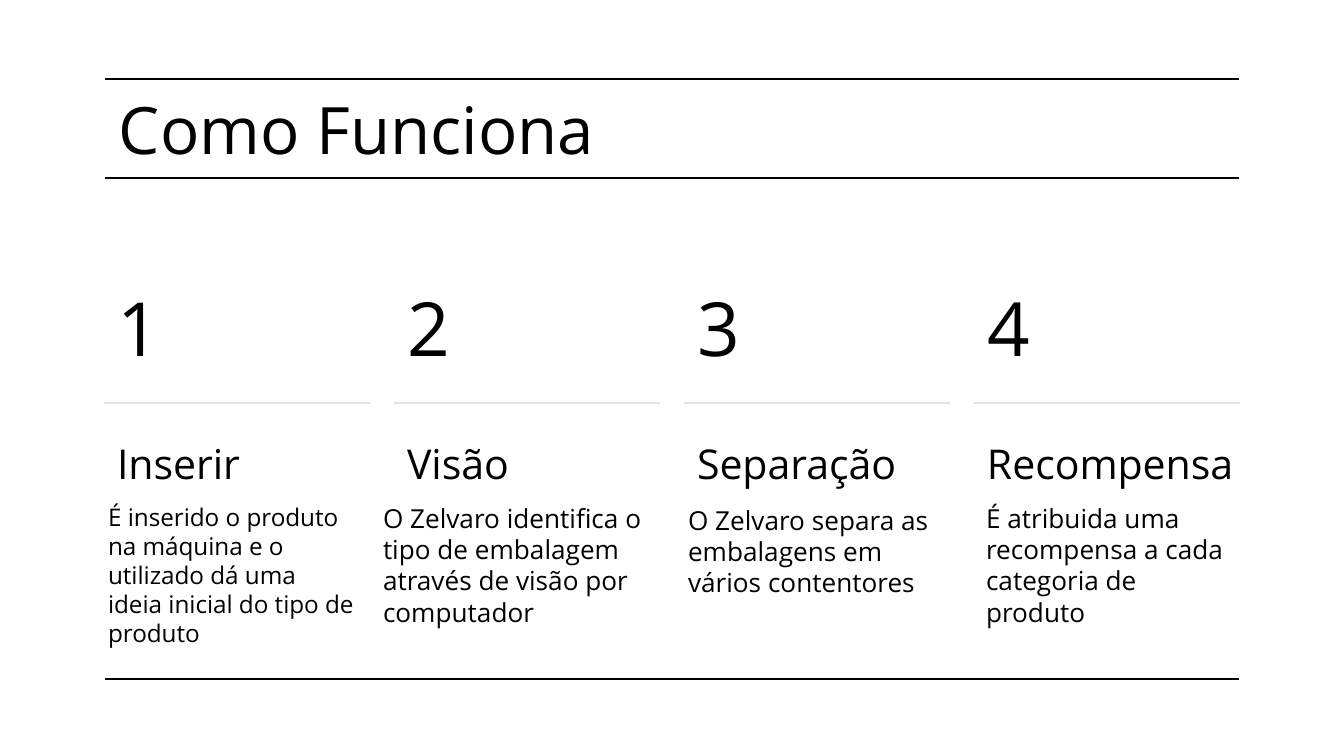
from lxml.etree import SubElement
from pptx import Presentation
from pptx.dml.color import RGBColor as RGB
from pptx.enum.shapes import MSO_CONNECTOR as Connector
from pptx.enum.text import MSO_ANCHOR as Anchor, MSO_AUTO_SIZE as AutoSize, PP_ALIGN as Align
from pptx.oxml.ns import qn
from pptx.util import Pt

PX = 6804  # EMU per px, 134.4 px to the inch

THEME = {
    "font": "Open Sans",
    "ink": RGB(0x00, 0x00, 0x00),
    "divider": RGB(0xE2, 0xE2, 0xE2),
    "rule_width": Pt(1.5),
    "title": Pt(35),
    "number": Pt(40),
    "heading": Pt(22),
    "body": Pt(14),
    "small_body": Pt(13),
}


def write(box, text, size, inset=0):
    """Fill a box with left-aligned text; inset is the top and bottom margin in px."""
    frame = box.text_frame
    frame.text = text
    frame_format = {
        "word_wrap": True,
        "auto_size": AutoSize.NONE,
        "vertical_anchor": Anchor.TOP,
        "margin_left": 13 * PX,
        "margin_right": 13 * PX,
        "margin_top": inset * PX,
        "margin_bottom": inset * PX,
    }
    for name, value in frame_format.items():
        setattr(frame, name, value)
    paragraph = frame.paragraphs[0]
    for name, value in {"alignment": Align.LEFT, "line_spacing": 1.0}.items():
        setattr(paragraph, name, value)
    for run in paragraph.runs:
        for name, value in {"name": THEME["font"], "size": THEME[size]}.items():
            setattr(run.font, name, value)
        run.font.color.rgb = THEME["ink"]


def draw_rule(left, right, y, color):
    rule = slide.shapes.add_connector(
        Connector.STRAIGHT, left * PX, y * PX, right * PX, y * PX)
    rule.line.color.rgb = THEME[color]
    rule.line.width = THEME["rule_width"]
    SubElement(rule._element.spPr, qn("a:effectLst"))


deck = Presentation()
deck.slide_width, deck.slide_height = 1344 * PX, 756 * PX
slide = deck.slides.add_slide(deck.slide_layouts[5])

for rule_y in (79, 178, 679):
    draw_rule(105, 1239, rule_y, "ink")

title = slide.shapes.title
title_place = {"left": 106, "top": 89, "width": 1133, "height": 66}
for name, value in title_place.items():
    setattr(title, name, value * PX)
write(title, "Como Funciona", "title")

# heading, heading width, description, description size, its left, top, width, height
steps = [
    ("Inserir", 265,
     "É inserido o produto na máquina e o utilizado dá uma ideia inicial do tipo de produto",
     "small_body", (95, 489, 272, 87)),
    ("Visão", 265,
     "O Zelvaro identifica o tipo de embalagem\vatravés de visão por computador",
     "body", (370, 489, 290, 179)),
    ("Separação", 265,
     "O Zelvaro separa as embalagens em vários contentores",
     "body", (675, 491, 270, 156)),
    ("Recompensa", 300,
     "É atribuida uma recompensa a cada categoria de produto",
     "body", (973, 489, 265, 87)),
]
FIRST_LEFT, STEP_PITCH, DIVIDER_LENGTH = 104, 290, 266

for index, (heading, heading_width, description, body_size, body_place) in enumerate(steps):
    left = FIRST_LEFT + index * STEP_PITCH
    draw_rule(left, left + DIVIDER_LENGTH, 403, "divider")
    step_texts = [
        (str(index + 1), "number", (left, 282, 134, 87), 0),
        (heading, "heading", (left, 438, heading_width, 51), 0),
        (description, body_size, body_place, 13),
    ]
    for text, size, place, inset in step_texts:
        box = slide.shapes.add_textbox(*(length * PX for length in place))
        write(box, text, size, inset)

deck.save("out.pptx")
